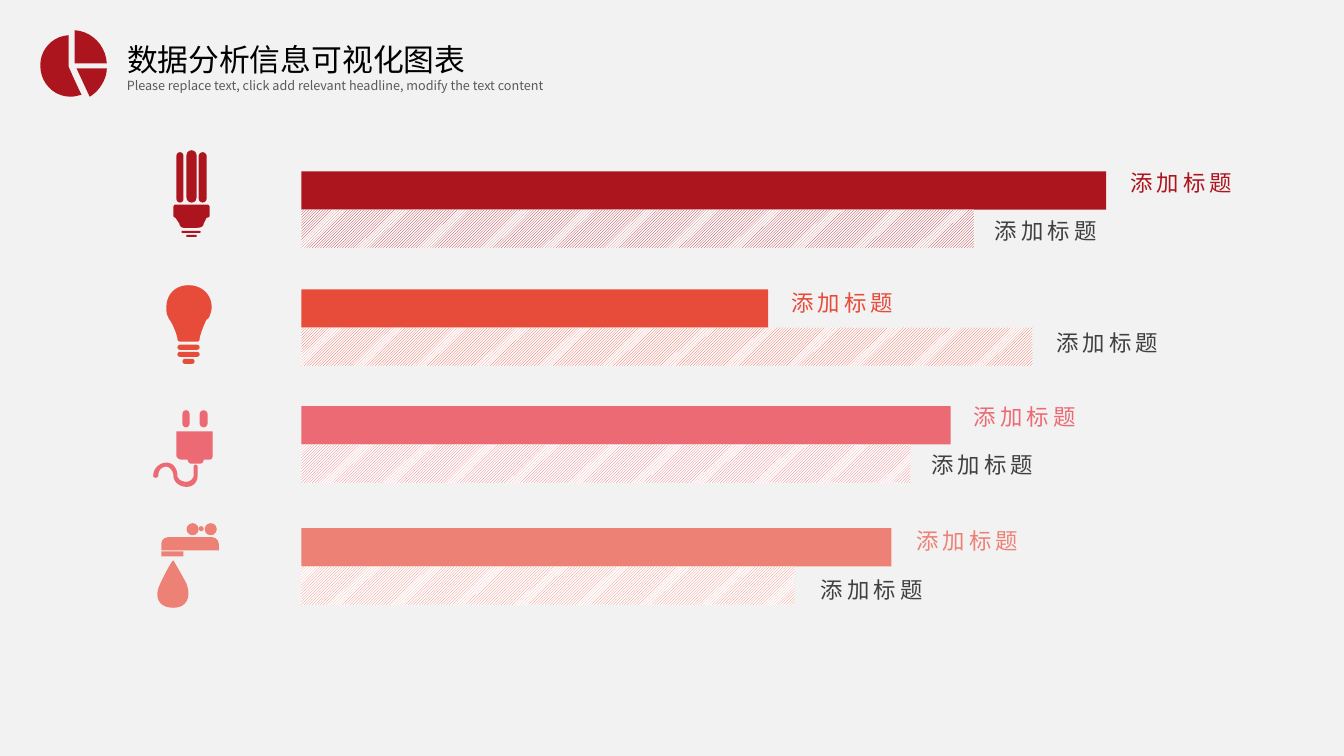
from lxml import etree
from pptx import Presentation
from pptx.dml.color import RGBColor
from pptx.enum.dml import MSO_PATTERN
from pptx.enum.shapes import MSO_SHAPE
from pptx.enum.text import MSO_ANCHOR, MSO_AUTO_SIZE, PP_ALIGN
from pptx.oxml.ns import qn
from pptx.util import Inches, Pt

FONT = "Noto Sans CJK SC"
BACKGROUND = RGBColor(0xF2, 0xF2, 0xF2)
WHITE = RGBColor(0xFF, 0xFF, 0xFF)
BLACK = RGBColor(0x00, 0x00, 0x00)
GRAY = RGBColor(0x59, 0x59, 0x59)
DARK = RGBColor(0x40, 0x40, 0x40)
CRIMSON = RGBColor(0xAC, 0x15, 0x1E)
ORANGE = RGBColor(0xE7, 0x4C, 0x3B)
PINK = RGBColor(0xEC, 0x6A, 0x73)
SALMON = RGBColor(0xED, 0x81, 0x76)

TITLE = "数据分析信息可视化图表"
SUBTITLE = "Please replace text, click add relevant headline, modify the text content"
LABEL = "添加标题"
BAR_LEFT, BAR_HEIGHT = 2.99, 0.38
LABEL_WIDTH, LABEL_HEIGHT = 1.27, 0.37
LABEL_RIGHT_MARGIN = 0.16
CURVE_STEPS = 10

PILL, RECT, OVAL = MSO_SHAPE.ROUNDED_RECTANGLE, MSO_SHAPE.RECTANGLE, MSO_SHAPE.OVAL
TAP_BODY = MSO_SHAPE.ROUND_2_SAME_RECTANGLE

PIE_MARK = [
    [(0.76, 0.68), (1.06, 0.68), (1.06, 0.79, 0.98, 0.91, 0.89, 0.96)],
    [(0.68, 0.35), (0.68, 0.66), (0.68, 0.66, 0.8, 0.93, 0.81, 0.94),
     (0.77, 0.95, 0.74, 0.96, 0.7, 0.96), (0.53, 0.96, 0.4, 0.82, 0.4, 0.65),
     (0.4, 0.49, 0.52, 0.36, 0.68, 0.35)],
    [(0.74, 0.3), (0.91, 0.31, 1.05, 0.45, 1.06, 0.63), (0.74, 0.63)],
]
LAMP_BASE = [
    (2.05, 2.03), (1.74, 2.03), (1.73, 2.03, 1.72, 2.04, 1.72, 2.06), (1.72, 2.14),
    (1.72, 2.15, 1.73, 2.16, 1.74, 2.16), (1.78, 2.22), (1.78, 2.24, 1.8, 2.26, 1.82, 2.26),
    (1.96, 2.26), (2, 2.26, 2.02, 2.24, 2.02, 2.22), (2.05, 2.16),
    (2.07, 2.16, 2.08, 2.15, 2.08, 2.14), (2.08, 2.06), (2.08, 2.04, 2.07, 2.03, 2.05, 2.03),
]
BULB_GLASS = [
    (2.1, 3.05), (2.1, 2.92, 2, 2.83, 1.87, 2.83), (1.74, 2.83, 1.65, 2.92, 1.65, 3.05),
    (1.65, 3.07, 1.65, 3.11, 1.66, 3.13), (1.67, 3.14, 1.67, 3.16, 1.68, 3.17),
    (1.72, 3.22, 1.76, 3.34, 1.76, 3.36), (1.76, 3.39, 1.78, 3.39, 1.8, 3.39), (1.95, 3.39),
    (1.96, 3.39, 1.98, 3.39, 1.98, 3.36), (1.98, 3.34, 2.02, 3.22, 2.05, 3.17),
    (2.07, 3.16, 2.08, 3.14, 2.08, 3.13), (2.09, 3.11, 2.1, 3.07, 2.1, 3.05),
]
PLUG_BODY = [
    (2.11, 4.28), (1.75, 4.28), (1.75, 4.52), (1.75, 4.54, 1.78, 4.56, 1.8, 4.56), (1.86, 4.56),
    (1.87, 4.59, 1.88, 4.6, 1.9, 4.6), (1.98, 4.6), (2, 4.6, 2.02, 4.59, 2.02, 4.56),
    (2.08, 4.56), (2.1, 4.56, 2.11, 4.54, 2.11, 4.52),
]
CABLE = [
    (1.94, 4.61), (1.93, 4.61, 1.92, 4.62, 1.92, 4.63), (1.92, 4.72),
    (1.92, 4.75, 1.88, 4.78, 1.85, 4.78), (1.8, 4.78, 1.76, 4.75, 1.76, 4.72),
    (1.76, 4.65, 1.72, 4.59, 1.65, 4.59), (1.58, 4.59, 1.52, 4.65, 1.52, 4.72),
    (1.52, 4.73, 1.53, 4.74, 1.54, 4.74), (1.56, 4.74, 1.57, 4.73, 1.57, 4.72),
    (1.57, 4.67, 1.6, 4.63, 1.65, 4.63), (1.68, 4.63, 1.72, 4.67, 1.72, 4.72),
    (1.72, 4.78, 1.78, 4.83, 1.85, 4.83), (1.92, 4.83, 1.96, 4.78, 1.96, 4.72), (1.96, 4.63),
    (1.96, 4.62, 1.95, 4.61, 1.94, 4.61),
]
DROP = [
    (1.85, 5.79), (1.9, 5.93, 1.85, 6.03, 1.72, 6.03), (1.58, 6.03, 1.52, 5.93, 1.59, 5.79),
    (1.65, 5.66, 1.71, 5.56, 1.72, 5.56), (1.72, 5.56, 1.78, 5.66, 1.85, 5.79),
]

ROWS = [
    {"color": CRIMSON, "top": 1.7, "widths": (7.98, 6.67),
     "labels": ((11.11, 1.63), (9.77, 2.1)), "outlines": [LAMP_BASE],
     "presets": [(PILL, 1.8, 2.29, 0.19, 0.02), (RECT, 1.85, 2.33, 0.1, 0.02),
                 (PILL, 1.85, 1.49, 0.1, 0.52), (PILL, 1.75, 1.51, 0.07, 0.5),
                 (PILL, 1.97, 1.51, 0.08, 0.5)]},
    {"color": ORANGE, "top": 2.87, "widths": (4.63, 7.25),
     "labels": ((7.75, 2.82), (10.38, 3.21)), "outlines": [BULB_GLASS],
     "presets": [(PILL, 1.76, 3.42, 0.22, 0.05), (PILL, 1.76, 3.49, 0.22, 0.05),
                 (PILL, 1.81, 3.56, 0.12, 0.05)]},
    {"color": PINK, "top": 4.03, "widths": (6.44, 6.04),
     "labels": ((9.56, 3.95), (9.14, 4.42)), "outlines": [PLUG_BODY, CABLE],
     "presets": [(PILL, 1.81, 4.07, 0.07, 0.17), (PILL, 1.98, 4.07, 0.08, 0.17)]},
    {"color": SALMON, "top": 5.24, "widths": (5.85, 4.89),
     "labels": ((8.99, 5.18), (8.04, 5.66)), "outlines": [DROP],
     "presets": [(TAP_BODY, 1.6, 5.33, 0.57, 0.13), (RECT, 1.6, 5.47, 0.22, 0.05),
                 (OVAL, 1.85, 5.19, 0.12, 0.12), (OVAL, 2.03, 5.19, 0.12, 0.12),
                 (OVAL, 1.97, 5.22, 0.05, 0.05)]},
]


def finish(shape, color):
    shape.shadow.inherit = False
    shape.fill.solid()
    shape.fill.fore_color.rgb = color
    shape.line.fill.background()


def add_preset(shapes, kind, box, color):
    shape = shapes.add_shape(kind, *map(Inches, box))
    if kind in (PILL, TAP_BODY):
        shape.adjustments[0] = 0.5
    finish(shape, color)
    return shape


def flatten(contour):
    points = [contour[0]]
    for segment in contour[1:]:
        if len(segment) == 2:
            points.append(segment)
            continue
        controls = [points[-1], segment[:2], segment[2:4], segment[4:]]
        for step in range(1, CURVE_STEPS + 1):
            t = step / CURVE_STEPS
            weights = ((1 - t) ** 3, 3 * t * (1 - t) ** 2, 3 * t * t * (1 - t), t ** 3)
            points.append(tuple(sum(weight * control[axis] for weight, control in zip(weights, controls))
                                for axis in (0, 1)))
    return [(Inches(x), Inches(y)) for x, y in points]


def add_outline(shapes, contours, color):
    builder = None
    for contour in contours:
        points = flatten(contour)
        if builder is None:
            builder = shapes.build_freeform(*points[0])
        else:
            builder.move_to(*points[0])
        builder.add_line_segments(points[1:], close=True)
    finish(builder.convert_to_shape(), color)


def write_text(shape, text, size, color, alignment=PP_ALIGN.LEFT, spacing=0, wrap=True):
    frame = shape.text_frame
    frame.auto_size = MSO_AUTO_SIZE.NONE
    frame.word_wrap = wrap
    frame.vertical_anchor = MSO_ANCHOR.MIDDLE
    paragraph = frame.paragraphs[0]
    paragraph.alignment = alignment
    run = paragraph.add_run()
    run.text = text
    run.font.size = Pt(size)
    run.font.name = FONT
    run.font.color.rgb = color
    properties = run._r.get_or_add_rPr()
    etree.SubElement(properties, qn("a:ea")).set("typeface", FONT)
    if spacing:
        properties.set("spc", str(spacing * 100))


def add_row(shapes, row):
    for outline in row["outlines"]:
        add_outline(shapes, [outline], row["color"])
    for kind, *box in row["presets"]:
        add_preset(shapes, kind, box, row["color"])
    label_colors = (row["color"], DARK)
    for index, (width, position) in enumerate(zip(row["widths"], row["labels"])):
        box = (BAR_LEFT, row["top"] + index * BAR_HEIGHT, width, BAR_HEIGHT)
        bar = add_preset(shapes, RECT, box, row["color"])
        if index == 1:
            bar.fill.patterned()
            bar.fill.pattern = MSO_PATTERN.LIGHT_UPWARD_DIAGONAL
            bar.fill.fore_color.rgb = row["color"]
            bar.fill.back_color.rgb = WHITE
        label = shapes.add_textbox(*map(Inches, (*position, LABEL_WIDTH, LABEL_HEIGHT)))
        label.text_frame.margin_right = Inches(LABEL_RIGHT_MARGIN)
        write_text(label, LABEL, 16, label_colors[index], PP_ALIGN.CENTER, spacing=3, wrap=False)


def main():
    presentation = Presentation()
    presentation.slide_width, presentation.slide_height = Inches(13.33), Inches(7.5)
    slide = presentation.slides.add_slide(presentation.slide_layouts[5])
    slide.background.fill.solid()
    slide.background.fill.fore_color.rgb = BACKGROUND
    add_outline(slide.shapes, PIE_MARK, CRIMSON)
    title = slide.shapes.title
    title.left, title.top, title.width, title.height = map(Inches, (1.16, 0.35, 4.26, 0.47))
    write_text(title, TITLE, 22, BLACK)
    subtitle = slide.shapes.add_textbox(*map(Inches, (1.16, 0.72, 5.04, 0.25)))
    write_text(subtitle, SUBTITLE, 9, GRAY)
    for row in ROWS:
        add_row(slide.shapes, row)
    presentation.save("out.pptx")


if __name__ == "__main__":
    main()
